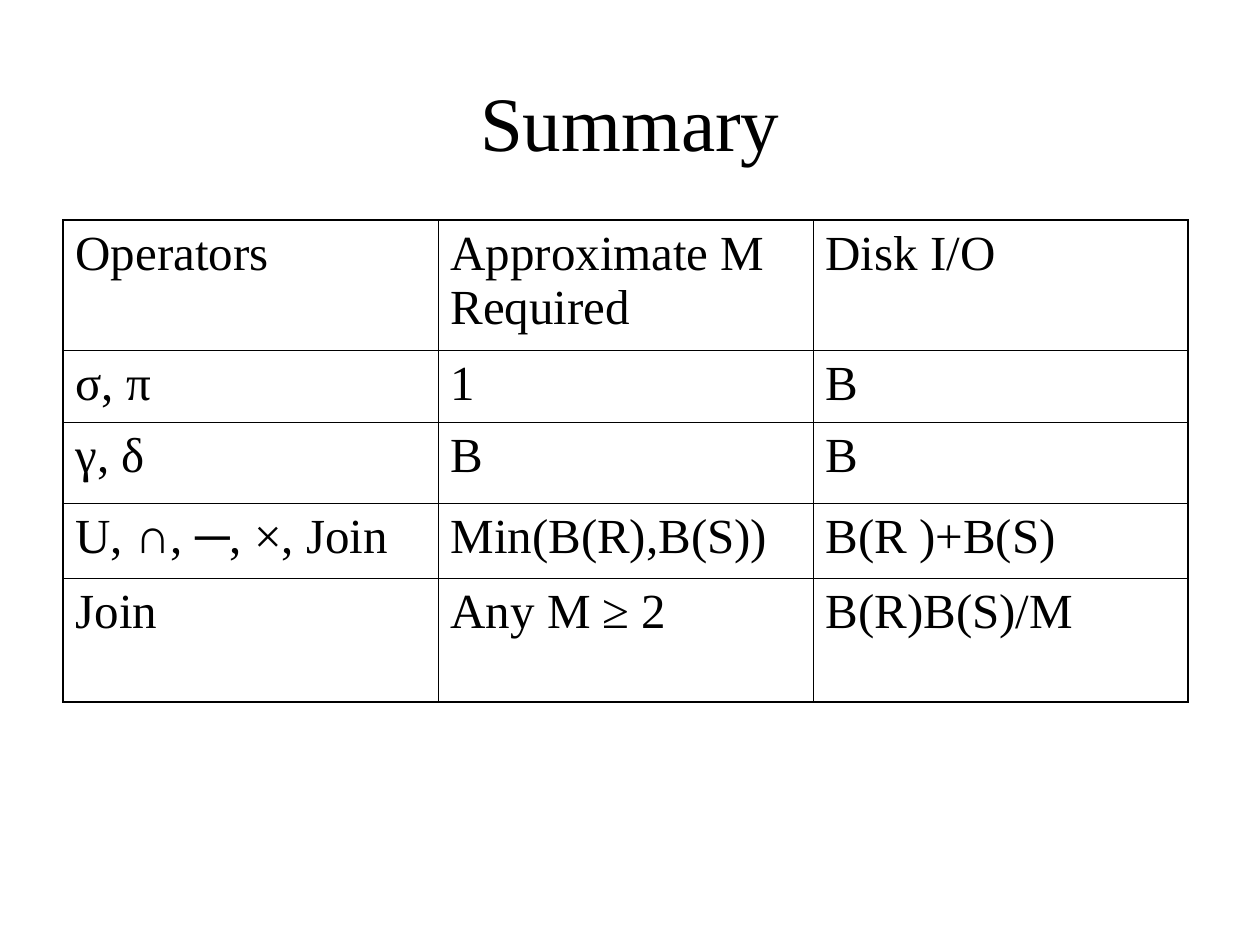
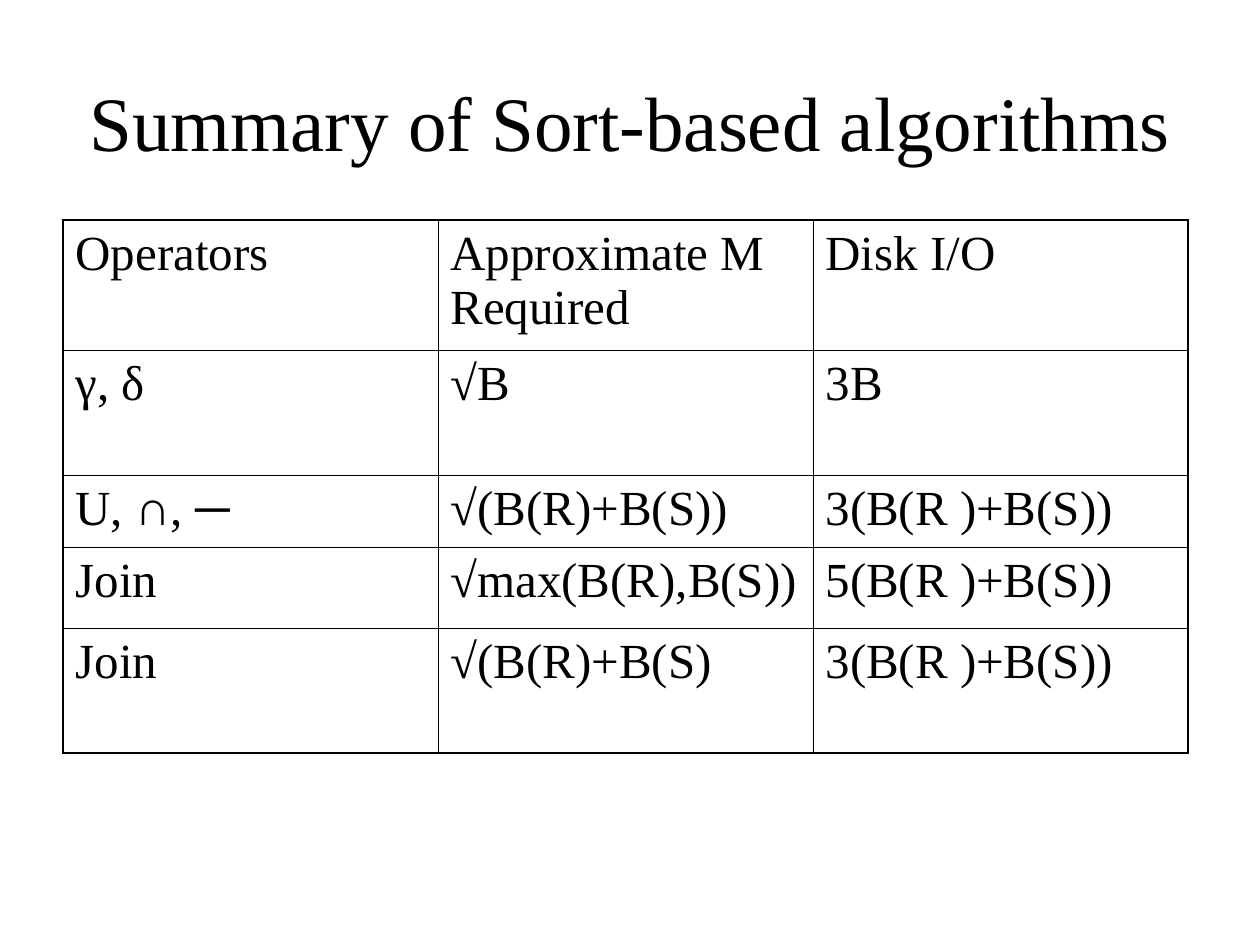
from dataclasses import dataclass

from lxml import etree
from pptx import Presentation
from pptx.dml.color import RGBColor
from pptx.enum.text import MSO_ANCHOR, PP_ALIGN
from pptx.oxml.ns import qn
from pptx.slide import Slide
from pptx.table import _Cell
from pptx.text.text import TextFrame
from pptx.util import Emu, Pt

CENTER, LEFT = PP_ALIGN.CENTER, PP_ALIGN.LEFT
MIDDLE, TOP = MSO_ANCHOR.MIDDLE, MSO_ANCHOR.TOP

PX_PER_INCH = 126
BLANK_LAYOUT = 6
FONT = "Times New Roman"
INK = "000000"
PAPER = "FFFFFF"

TITLE_BOX = (63, 42, 1134, 158)
TABLE_LEFT, TABLE_TOP, COLUMN_WIDTH = 63, 220, 375
OUTER_LINE, INNER_LINE = 1.08, 0.45

HEADER = ("Operators", "Approximate M Required", "Disk I/O")
HEADER_HEIGHT = 130


@dataclass(frozen=True)
class CostRow:
    height: int
    cells: tuple[str, str, str]


@dataclass(frozen=True)
class SummarySlide:
    title: str
    rows: tuple[CostRow, ...]


SUMMARIES = (
    SummarySlide("Summary", (
        CostRow(72, ("σ, π", "1", "B")),
        CostRow(81, ("γ, δ", "B", "B")),
        CostRow(75, ("U, ∩, ─, ×, Join", "Min(B(R),B(S))", "B(R )+B(S)")),
        CostRow(124, ("Join", "Any M ≥ 2", "B(R)B(S)/M")),
    )),
    SummarySlide("Summary of Sort-based algorithms", (
        CostRow(125, ("γ, δ", "√B", "3B")),
        CostRow(72, ("U, ∩, ─", "√(B(R)+B(S))", "3(B(R )+B(S))")),
        CostRow(81, ("Join", "√max(B(R),B(S))", "5(B(R )+B(S))")),
        CostRow(125, ("Join", "√(B(R)+B(S)", "3(B(R )+B(S))")),
    )),
)


def px(length: int) -> Emu:
    return Emu(round(length * 914400 / PX_PER_INCH))


def color(hex_value: str) -> RGBColor:
    return RGBColor.from_string(hex_value)


def write_text(frame: TextFrame, text: str, size: int, alignment: PP_ALIGN) -> None:
    frame.word_wrap = True
    paragraph = frame.paragraphs[0]
    paragraph.alignment = alignment
    run = paragraph.add_run()
    run.text = text
    for name, value in {"name": FONT, "size": Pt(size), "bold": False}.items():
        setattr(run.font, name, value)
    run.font.color.rgb = color(INK)
    # Mathematical symbols may be drawn with the East Asian font slot.
    properties = run._r.get_or_add_rPr()
    etree.SubElement(properties, qn("a:ea"), typeface=FONT)


def add_title(slide: Slide, title: str) -> None:
    shape = slide.shapes.add_textbox(*map(px, TITLE_BOX))
    shape.text_frame.vertical_anchor = MIDDLE
    write_text(shape.text_frame, title, 44, CENTER)


def set_borders(cell: _Cell, widths: dict[str, float]) -> None:
    """Draw solid borders, given in points for the sides L, R, T and B."""
    properties = cell._tc.get_or_add_tcPr()
    for side, width in widths.items():
        line = etree.SubElement(properties, qn(f"a:ln{side}"), w=str(Pt(width)))
        fill = etree.SubElement(line, qn("a:solidFill"))
        etree.SubElement(fill, qn("a:srgbClr"), val=INK)


def add_cost_table(slide: Slide, cost_rows: tuple[CostRow, ...]) -> None:
    rows = (CostRow(HEADER_HEIGHT, HEADER), *cost_rows)
    last_row, last_column = len(rows) - 1, len(HEADER) - 1
    table = slide.shapes.add_table(
        len(rows), len(HEADER), px(TABLE_LEFT), px(TABLE_TOP),
        px(COLUMN_WIDTH * len(HEADER)), px(sum(row.height for row in rows)),
    ).table
    table.first_row = table.horz_banding = False
    for column in table.columns:
        column.width = px(COLUMN_WIDTH)

    for row_index, row in enumerate(rows):
        table.rows[row_index].height = px(row.height)
        for column_index, text in enumerate(row.cells):
            cell = table.cell(row_index, column_index)
            on_edge = {
                "L": column_index == 0,
                "R": column_index == last_column,
                "T": row_index == 0,
                "B": row_index == last_row,
            }
            set_borders(cell, {side: OUTER_LINE if outer else INNER_LINE
                               for side, outer in on_edge.items()})
            cell.fill.solid()
            cell.fill.fore_color.rgb = color(PAPER)
            cell.vertical_anchor = TOP
            write_text(cell.text_frame, text, 28, LEFT)


def main() -> None:
    presentation = Presentation()
    presentation.slide_width = px(1260)
    presentation.slide_height = px(945)
    for summary in SUMMARIES:
        slide = presentation.slides.add_slide(presentation.slide_layouts[BLANK_LAYOUT])
        add_title(slide, summary.title)
        add_cost_table(slide, summary.rows)
    presentation.save("out.pptx")


if __name__ == "__main__":
    main()
